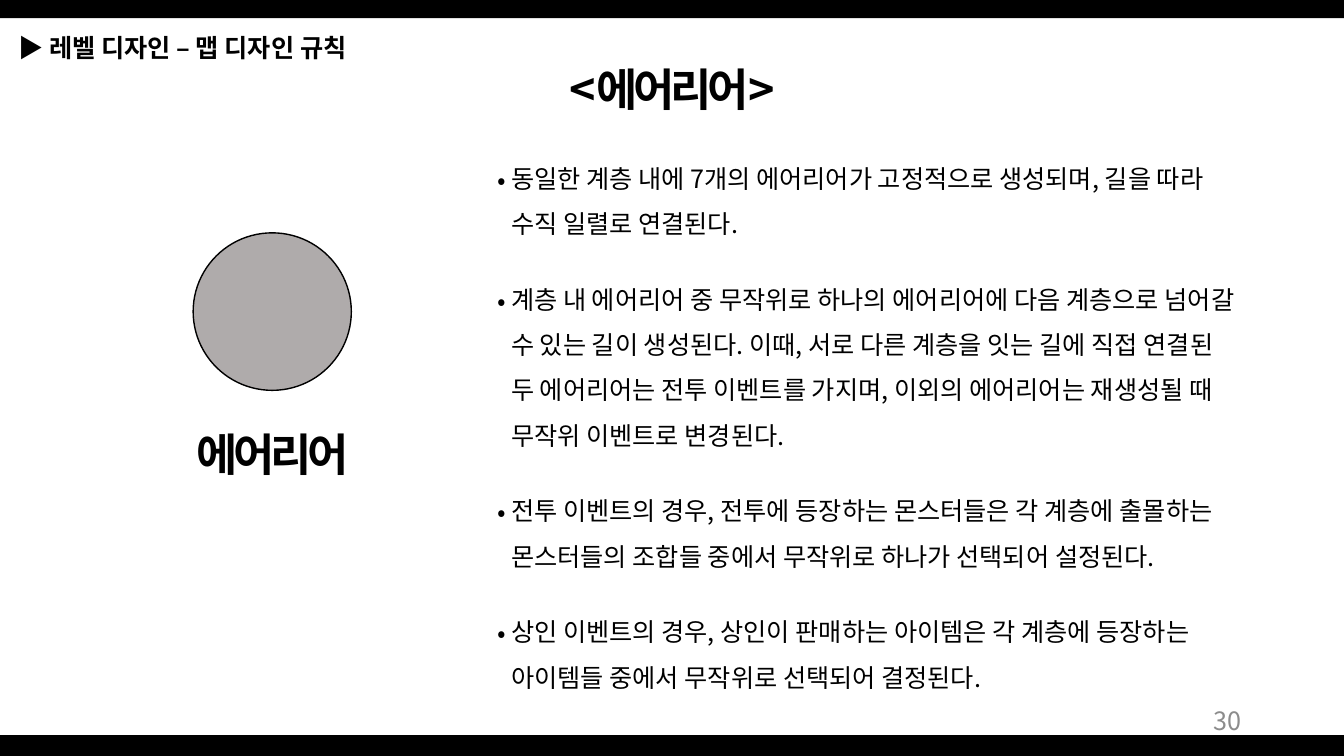
from pptx import Presentation
from pptx.dml.color import RGBColor
from pptx.enum.shapes import MSO_SHAPE
from pptx.enum.text import MSO_ANCHOR, MSO_AUTO_SIZE, PP_ALIGN
from pptx.oxml.ns import qn
from pptx.util import Pt
from lxml import etree

RECT, OVAL = MSO_SHAPE.RECTANGLE, MSO_SHAPE.OVAL
LEFT, MID, RIGHT = PP_ALIGN.LEFT, PP_ALIGN.CENTER, PP_ALIGN.RIGHT
TOP, CENTER = MSO_ANCHOR.TOP, MSO_ANCHOR.MIDDLE
FIXED = MSO_AUTO_SIZE.NONE

FONT = "Noto Sans CJK KR"
COLORS = {"ink": "000000", "node": "AFABAB", "page": "8C8C8C"}
WIDE, HIGH = 960, 540

# Each rule is a list of its lines
RULES = [
    ["동일한 계층 내에 7개의 에어리어가 고정적으로 생성되며, 길을 따라",
     "수직 일렬로 연결된다."],
    ["계층 내 에어리어 중 무작위로 하나의 에어리어에 다음 계층으로 넘어갈",
     "수 있는 길이 생성된다. 이때, 서로 다른 계층을 잇는 길에 직접 연결된",
     "두 에어리어는 전투 이벤트를 가지며, 이외의 에어리어는 재생성될 때",
     "무작위 이벤트로 변경된다."],
    ["전투 이벤트의 경우, 전투에 등장하는 몬스터들은 각 계층에 출몰하는",
     "몬스터들의 조합들 중에서 무작위로 하나가 선택되어 설정된다."],
    ["상인 이벤트의 경우, 상인이 판매하는 아이템은 각 계층에 등장하는",
     "아이템들 중에서 무작위로 선택되어 결정된다."],
]


def color(name):
    return RGBColor.from_string(COLORS[name])


def style(run, size=18, bold=False, ink="ink", track=0):
    font = run.font
    font.name, font.size, font.bold = FONT, Pt(size), bold
    font.color.rgb = color(ink)
    props = run._r.get_or_add_rPr()
    etree.SubElement(props, qn("a:ea")).set("typeface", FONT)
    if track:
        props.set("spc", str(track * 100))


def place(shape, box):
    shape.left, shape.top, shape.width, shape.height = map(Pt, box)


def write(shape, text, align=LEFT, anchor=TOP, **look):
    frame = shape.text_frame
    frame.word_wrap, frame.auto_size = True, FIXED
    frame.vertical_anchor = anchor
    frame.text = text
    para = frame.paragraphs[0]
    para.alignment = align
    for run in para.runs:
        style(run, **look)
    return para


def add_text(slide, box, text, **look):
    return write(slide.shapes.add_textbox(*map(Pt, box)), text, **look)


def add_form(slide, kind, box, fill, line=None):
    form = slide.shapes.add_shape(kind, *map(Pt, box))
    form.shadow.inherit = False
    form.fill.solid()
    form.fill.fore_color.rgb = color(fill)
    if line:
        form.line.color.rgb = color(line)
        form.line.width = Pt(1)
    else:
        form.line.fill.background()


def add_bars(slide, box):
    x, y, w, h = box
    add_form(slide, RECT, (x, y + h - 15, w, 15), "ink")
    add_form(slide, RECT, (x, y, w, 13), "ink")


def add_head(slide, box):
    x, y, w, h = box
    # Centred title
    title = slide.shapes.title
    place(title, (x + 340.5, y + 40.3, 280, 46))
    write(title, "<에어리어>", align=MID, size=32, bold=True, track=-3)
    # Section label
    para = add_text(slide, (x + 6, y + 19.4, 335, 29), "▶ ")
    run = para.add_run()
    run.text = "레벨 디자인 – 맵 디자인 규칙"
    style(run, bold=True)


def add_node(slide, box):
    x, y, w, h = box
    add_form(slide, OVAL, (x + (w - 113) / 2, y, 113, 112.5), "node", "ink")
    add_text(slide, (x, y + 134.6, w, 46), "에어리어",
             align=MID, size=32, bold=True, track=-3)


def add_rules(slide, box):
    frame = slide.shapes.add_textbox(*map(Pt, box)).text_frame
    frame.word_wrap = True
    for i, lines in enumerate(RULES):
        para = frame.add_paragraph() if i else frame.paragraphs[0]
        para.text = "\v".join(lines)
        para.line_spacing = 1.5
        para.space_before = Pt(21.6 if i else 0)
        for run in para.runs:
            style(run)
        # Hanging bullet
        props = para._p.get_or_add_pPr()
        props.set("marL", str(Pt(10)))
        props.set("indent", str(-Pt(10)))
        etree.SubElement(props, qn("a:buFont")).set("typeface", FONT)
        etree.SubElement(props, qn("a:buChar")).set("char", "•")


def main():
    deck = Presentation()
    deck.slide_width, deck.slide_height = Pt(WIDE), Pt(HIGH)
    slide = deck.slides.add_slide(deck.slide_layouts[5])
    add_bars(slide, (0, 0, WIDE, HIGH))
    add_head(slide, (0, 0, WIDE, 90))
    add_node(slide, (74, 166.3, 241, 181))
    add_rules(slide, (348, 102.2, 612, 415))
    # Page number
    add_text(slide, (678, 500.4, 216, 29), "30",
             align=RIGHT, anchor=CENTER, ink="page")
    deck.save("out.pptx")


if __name__ == "__main__":
    main()
